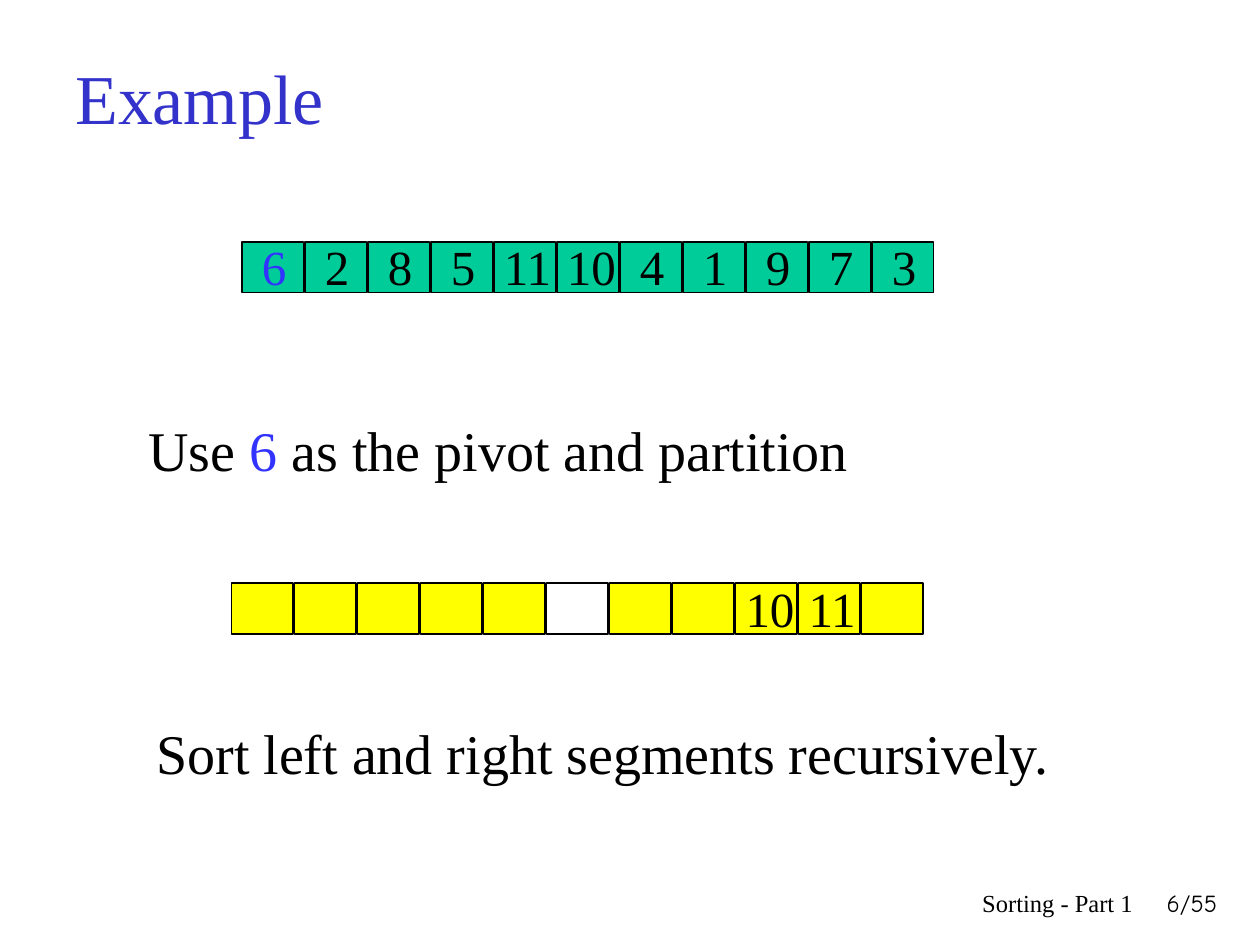
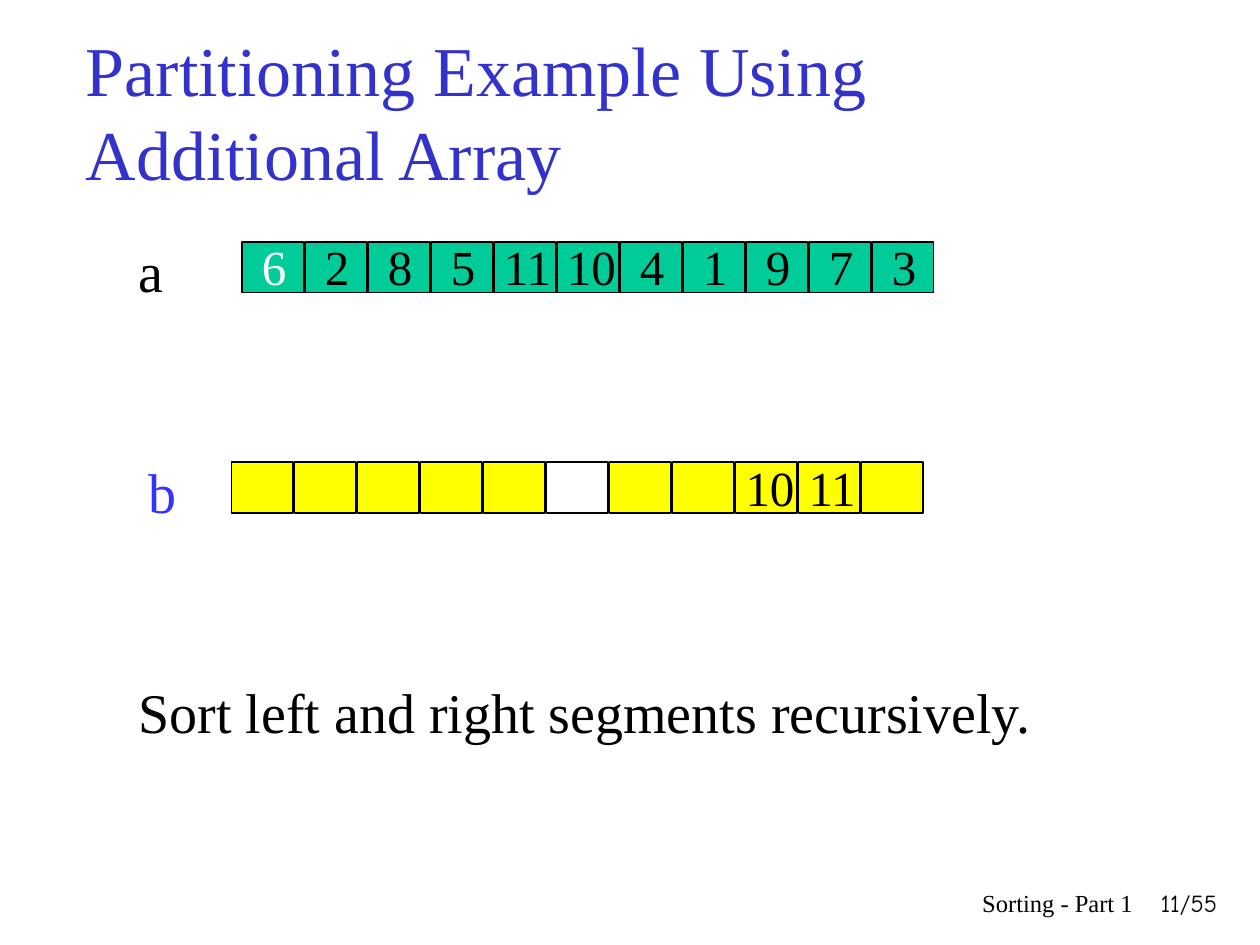
from lxml.etree import SubElement
from pptx import Presentation
from pptx.dml.color import RGBColor
from pptx.enum.shapes import MSO_SHAPE
from pptx.enum.text import MSO_ANCHOR, PP_ALIGN
from pptx.oxml.ns import qn
from pptx.util import Cm, Pt

BLACK = RGBColor(0x00, 0x00, 0x00)
WHITE = RGBColor(0xFF, 0xFF, 0xFF)
TITLE_BLUE = RGBColor(0x33, 0x33, 0xCC)
PIVOT_BLUE = RGBColor(0x33, 0x33, 0xFF)
GREEN = RGBColor(0x00, 0xCC, 0x99)
YELLOW = RGBColor(0xFF, 0xFF, 0x00)

SERIF = "Times New Roman"
PAGE_FONT = "Comic Neue"

CELL_PITCH = 1.27
CELL_WIDTH = 1.24
CELL_HEIGHT = 1.02
INPUT_LEFT = 4.88
INPUT_TOP = 4.88
OUTPUT_LEFT = 4.67
PIVOT_CELL = 5

INPUT_VALUES = ["6", "2", "8", "5", "11", "10", "4", "1", "9", "7", "3"]
OUTPUT_VALUES = ["", "", "", "", "", "", "", "", "10", "11", ""]
SORT_TEXT = "Sort left and right segments recursively."


def add_text(shapes, box, runs, size, font=SERIF, space_before=True):
    text_box = shapes.add_textbox(*[Cm(length) for length in box])
    text_frame = text_box.text_frame
    text_frame.word_wrap = True
    paragraph = text_frame.paragraphs[0]
    if space_before:
        spacing = SubElement(paragraph._p.get_or_add_pPr(), qn("a:spcBef"))
        SubElement(spacing, qn("a:spcPct"), val="50000")
    for text, color in runs:
        run = paragraph.add_run()
        run.text = text
        run.font.name = font
        run.font.size = Pt(size)
        run.font.color.rgb = color
    return text_frame


def add_array(slide, left, top, values, fills, colors):
    group = slide.shapes.add_group_shape()
    for index, (value, fill, color) in enumerate(zip(values, fills, colors)):
        cell_left = left + index * CELL_PITCH
        cell = group.shapes.add_shape(
            MSO_SHAPE.RECTANGLE, Cm(cell_left), Cm(top), Cm(CELL_WIDTH), Cm(CELL_HEIGHT)
        )
        cell.shadow.inherit = False
        cell.fill.solid()
        cell.fill.fore_color.rgb = fill
        cell.line.color.rgb = BLACK
        cell.line.width = Pt(1)
        if value:
            offset, width = (0.15, 1.32) if len(value) == 1 else (-0.05, 1.96)
            box = (cell_left + offset, top - 0.23, width, 1.45)
            add_text(group.shapes, box, [(value, color)], 28)


slides = [
    {
        "title": "Example",
        "title_box": (1.27, 0.76, 22.86, 2.36),
        "pivot_color": PIVOT_BLUE,
        "output_top": 11.76,
        "texts": [
            (
                (2.74, 8.26, 19.89, 1.6),
                [("Use ", BLACK), ("6", PIVOT_BLUE), (" as the pivot and partition", BLACK)],
            ),
            ((2.9, 14.35, 19.89, 1.6), [(SORT_TEXT, BLACK)]),
        ],
        "page": "6/55",
    },
    {
        "title": "Partitioning Example Using Additional Array",
        "title_box": (1.48, 0.64, 21.59, 3.18),
        "pivot_color": WHITE,
        "output_top": 9.32,
        "texts": [
            ((2.54, 4.65, 1.27, 1.6), [("a", BLACK)]),
            ((2.74, 9.09, 1.27, 1.6), [("b", PIVOT_BLUE)]),
            ((2.54, 13.54, 19.89, 1.6), [(SORT_TEXT, BLACK)]),
        ],
        "page": "11/55",
    },
]

cell_count = len(INPUT_VALUES)
input_fills = [GREEN] * cell_count
output_fills = [YELLOW] * cell_count
output_fills[PIVOT_CELL] = WHITE
black_values = [BLACK] * cell_count

presentation = Presentation()
presentation.slide_width = Cm(25.4)
presentation.slide_height = Cm(19.05)

for content in slides:
    slide = presentation.slides.add_slide(presentation.slide_layouts[6])
    slide.background.fill.solid()
    slide.background.fill.fore_color.rgb = WHITE

    title_runs = [(content["title"], TITLE_BLUE)]
    title = add_text(slide.shapes, content["title_box"], title_runs, 40, space_before=False)
    title.vertical_anchor = MSO_ANCHOR.MIDDLE

    input_colors = [content["pivot_color"]] + black_values[1:]
    add_array(slide, INPUT_LEFT, INPUT_TOP, INPUT_VALUES, input_fills, input_colors)
    add_array(slide, OUTPUT_LEFT, content["output_top"], OUTPUT_VALUES, output_fills, black_values)

    for box, runs in content["texts"]:
        add_text(slide.shapes, box, runs, 32)

    for box, text, font in [
        ((23.06, 17.78, 1.73, 1.27), content["page"], PAGE_FONT),
        ((15.04, 17.78, 8.05, 1.27), "Sorting - Part 1", SERIF),
    ]:
        footer = add_text(slide.shapes, box, [(text, BLACK)], 14, font, space_before=False)
        footer.paragraphs[0].alignment = PP_ALIGN.RIGHT

presentation.save("out.pptx")
